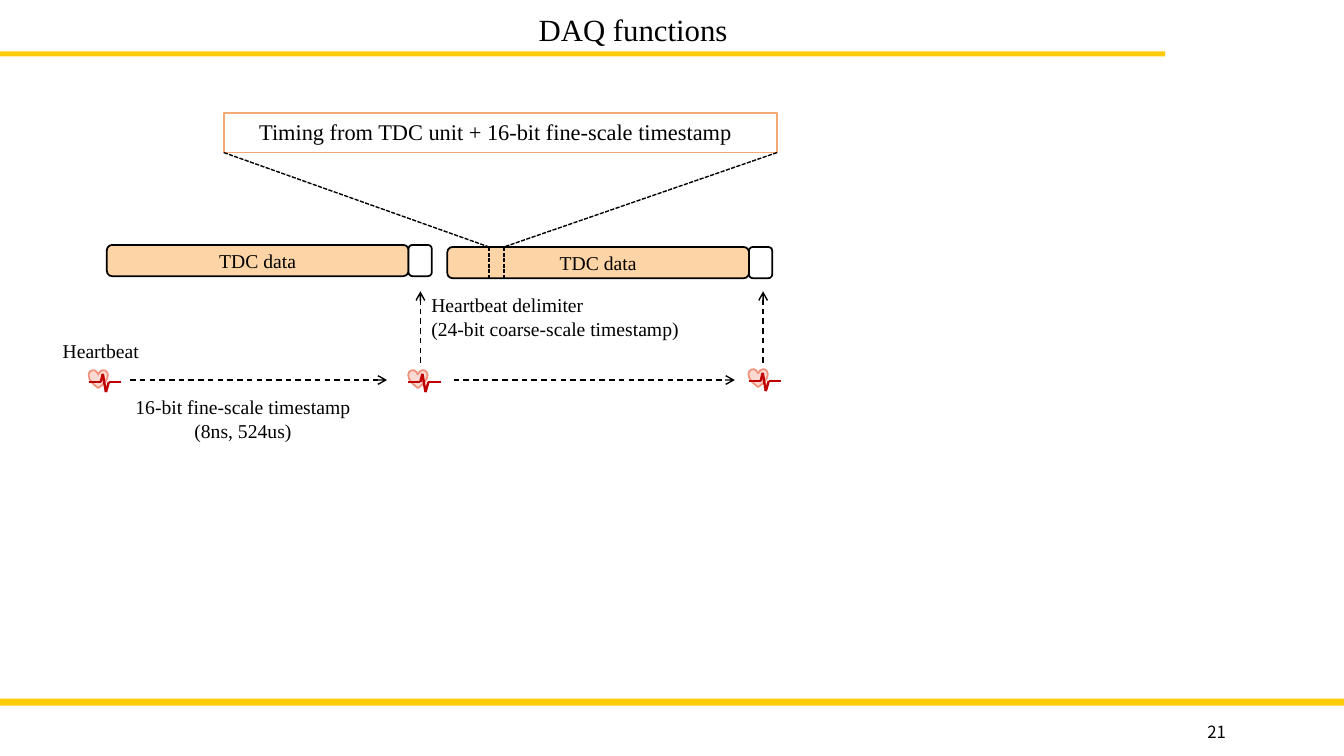
from dataclasses import dataclass
from itertools import pairwise

from lxml.etree import SubElement
from pptx import Presentation
from pptx.dml.color import RGBColor
from pptx.enum.dml import MSO_LINE
from pptx.enum.shapes import MSO_CONNECTOR, MSO_SHAPE
from pptx.enum.text import MSO_ANCHOR, MSO_AUTO_SIZE, PP_ALIGN
from pptx.oxml.ns import qn
from pptx.shapes.autoshape import Shape
from pptx.slide import Slide
from pptx.util import Inches, Pt

WIDTH, HEIGHT = Inches(13.33), Inches(7.5)
SERIF = "Times New Roman"
SANS = "Noto Sans CJK JP"
BLACK = RGBColor(0x00, 0x00, 0x00)
WHITE = RGBColor(0xFF, 0xFF, 0xFF)
GOLD = RGBColor(0xFF, 0xCA, 0x08)
PEACH = RGBColor(0xFC, 0xD4, 0xA5)
ORANGE = RGBColor(0xF4, 0xA9, 0x73)
PINK = RGBColor(0xFA, 0xDA, 0xD3)
CORAL = RGBColor(0xF0, 0x91, 0x7B)
RED = RGBColor(0xC0, 0x00, 0x00)


@dataclass(frozen=True)
class Area:
    """Percentages of the slide's width and height."""

    left: float
    top: float
    width: float
    height: float

    def emu(self) -> tuple[int, int, int, int]:
        return (across(self.left), down(self.top),
                across(self.width), down(self.height))


@dataclass(frozen=True)
class Label:
    area: Area
    lines: tuple[str, ...]
    size: float = 14
    align: PP_ALIGN = PP_ALIGN.CENTER
    font: str = SERIF
    anchor: MSO_ANCHOR = MSO_ANCHOR.TOP


@dataclass(frozen=True)
class Stroke:
    start: tuple[float, float]
    end: tuple[float, float]
    color: RGBColor = BLACK
    weight: float = 1
    dash: MSO_LINE | None = MSO_LINE.DASH
    arrow: bool = False


@dataclass(frozen=True)
class Cycle:
    left: float
    top: float


def across(percent: float) -> int:
    return round(WIDTH * percent / 100)


def down(percent: float) -> int:
    return round(HEIGHT * percent / 100)


def write(shape: Shape, label: Label) -> None:
    frame = shape.text_frame
    frame.text = "\n".join(label.lines)
    frame.word_wrap = True
    frame.auto_size = MSO_AUTO_SIZE.NONE
    frame.vertical_anchor = label.anchor
    for paragraph in frame.paragraphs:
        paragraph.alignment = label.align
        paragraph.font.name = label.font
        paragraph.font.size = Pt(label.size)
        paragraph.font.color.rgb = BLACK


def add_label(slide: Slide, label: Label) -> None:
    write(slide.shapes.add_textbox(*label.area.emu()), label)


def add_block(slide: Slide, kind: MSO_SHAPE, area: Area,
              fill: RGBColor | None = None, outline: RGBColor | None = None) -> Shape:
    block = slide.shapes.add_shape(kind, *area.emu())
    block.shadow.inherit = False
    if fill is None:
        block.fill.background()
    else:
        block.fill.solid()
        block.fill.fore_color.rgb = fill
    if outline is None:
        block.line.fill.background()
    else:
        block.line.color.rgb = outline
        block.line.width = Pt(1.25)
    return block


def add_stroke(slide: Slide, stroke: Stroke) -> None:
    (x1, y1), (x2, y2) = stroke.start, stroke.end
    connector = slide.shapes.add_connector(
        MSO_CONNECTOR.STRAIGHT, across(x1), down(y1), across(x2), down(y2))
    connector.line.color.rgb = stroke.color
    connector.line.width = Pt(stroke.weight)
    if stroke.dash is not None:
        connector.line.dash_style = stroke.dash
    if stroke.arrow:
        SubElement(connector.line._get_or_add_ln(), qn("a:tailEnd"), type="arrow")
    SubElement(connector._element.spPr, qn("a:effectLst"))


def add_heartbeat(slide: Slide, left: float, top: float) -> None:
    add_block(slide, MSO_SHAPE.HEART, Area(left, top, 1.43, 2.4), PINK, CORAL)
    pulse = [(left + x, top + y) for x, y in PULSE]
    for start, end in pairwise(pulse):
        add_stroke(slide, Stroke(start, end, RED, 1.75, None))


def add_cycle(slide: Slide, cycle: Cycle) -> None:
    data_area = Area(cycle.left, cycle.top, DATA_WIDTH, DATA_HEIGHT)
    data = add_block(slide, MSO_SHAPE.ROUNDED_RECTANGLE, data_area, PEACH, BLACK)
    write(data, Label(data_area, ("TDC data",), anchor=MSO_ANCHOR.MIDDLE))
    delimiter_area = Area(cycle.left + DATA_WIDTH, cycle.top, 1.73, DATA_HEIGHT)
    add_block(slide, MSO_SHAPE.ROUNDED_RECTANGLE, delimiter_area, WHITE, BLACK)


DATA_WIDTH, DATA_HEIGHT = 22.45, 4.13
PULSE = ((0, 1.6), (0.9, 1.6), (1.05, 0.53), (1.28, 2.93), (1.5, 1.6), (2.4, 1.6))
BARS = (Area(0, 92.4, 100, 0.93), Area(0, 6.8, 86.7, 0.67))
HEARTBEATS = ((6.6, 48.93), (30.38, 48.93), (55.7, 48.8))
CYCLES = (Cycle(7.95, 32.4), Cycle(33.28, 32.67))
TIMING = Area(16.65, 14.93, 41.17, 5.25)
HIT_LEFT, HIT_RIGHT = 36.38, 37.5
HIT_TOP, HIT_BOTTOM = 32.67, 36.8

TITLE = Label(Area(22.65, 0.8, 48.9, 6.27), ("DAQ functions",), 22)
LABELS = (
    Label(Area(81.23, 94.13, 10.73, 5.33), ("21",), 12, PP_ALIGN.RIGHT, SANS,
          MSO_ANCHOR.MIDDLE),
    Label(Area(13.95, 14.93, 45.83, 4.93),
          ("Timing from TDC unit + 16-bit fine-scale timestamp",), 16),
    Label(Area(8.03, 51.6, 20.1, 7.6),
          ("16-bit fine-scale timestamp", "(8ns, 524us)")),
    Label(Area(3.38, 44.13, 8.25, 4.53), ("Heartbeat",)),
    Label(Area(31.35, 38.13, 23.1, 7.6),
          ("Heartbeat delimiter", "(24-bit coarse-scale timestamp)"),
          align=PP_ALIGN.LEFT),
)
ARROWS = (
    Stroke((9.68, 50.27), (28.8, 50.27), arrow=True),
    Stroke((33.75, 50.27), (54.68, 50.27), arrow=True),
    Stroke((31.28, 48), (31.28, 38.53), arrow=True),
    Stroke((56.78, 48), (56.78, 38.53), arrow=True),
)
ZOOM = tuple(
    Stroke(start, end, dash=MSO_LINE.SQUARE_DOT)
    for corner, hit in ((TIMING.left, HIT_LEFT), (TIMING.left + TIMING.width, HIT_RIGHT))
    for start, end in (
        ((corner, TIMING.top + TIMING.height), (hit, HIT_TOP)),
        ((hit, HIT_TOP), (hit, HIT_BOTTOM)),
    )
)


def main() -> None:
    presentation = Presentation()
    presentation.slide_width, presentation.slide_height = WIDTH, HEIGHT
    slide = presentation.slides.add_slide(presentation.slide_layouts[5])
    for bar in BARS:
        add_block(slide, MSO_SHAPE.RECTANGLE, bar, GOLD)
    title = slide.shapes.title
    title.left, title.top, title.width, title.height = TITLE.area.emu()
    write(title, TITLE)
    add_block(slide, MSO_SHAPE.RECTANGLE, TIMING, outline=ORANGE)
    for left, top in HEARTBEATS:
        add_heartbeat(slide, left, top)
    for cycle in CYCLES:
        add_cycle(slide, cycle)
    for label in LABELS:
        add_label(slide, label)
    for stroke in ARROWS + ZOOM:
        add_stroke(slide, stroke)
    presentation.save("out.pptx")


if __name__ == "__main__":
    main()
